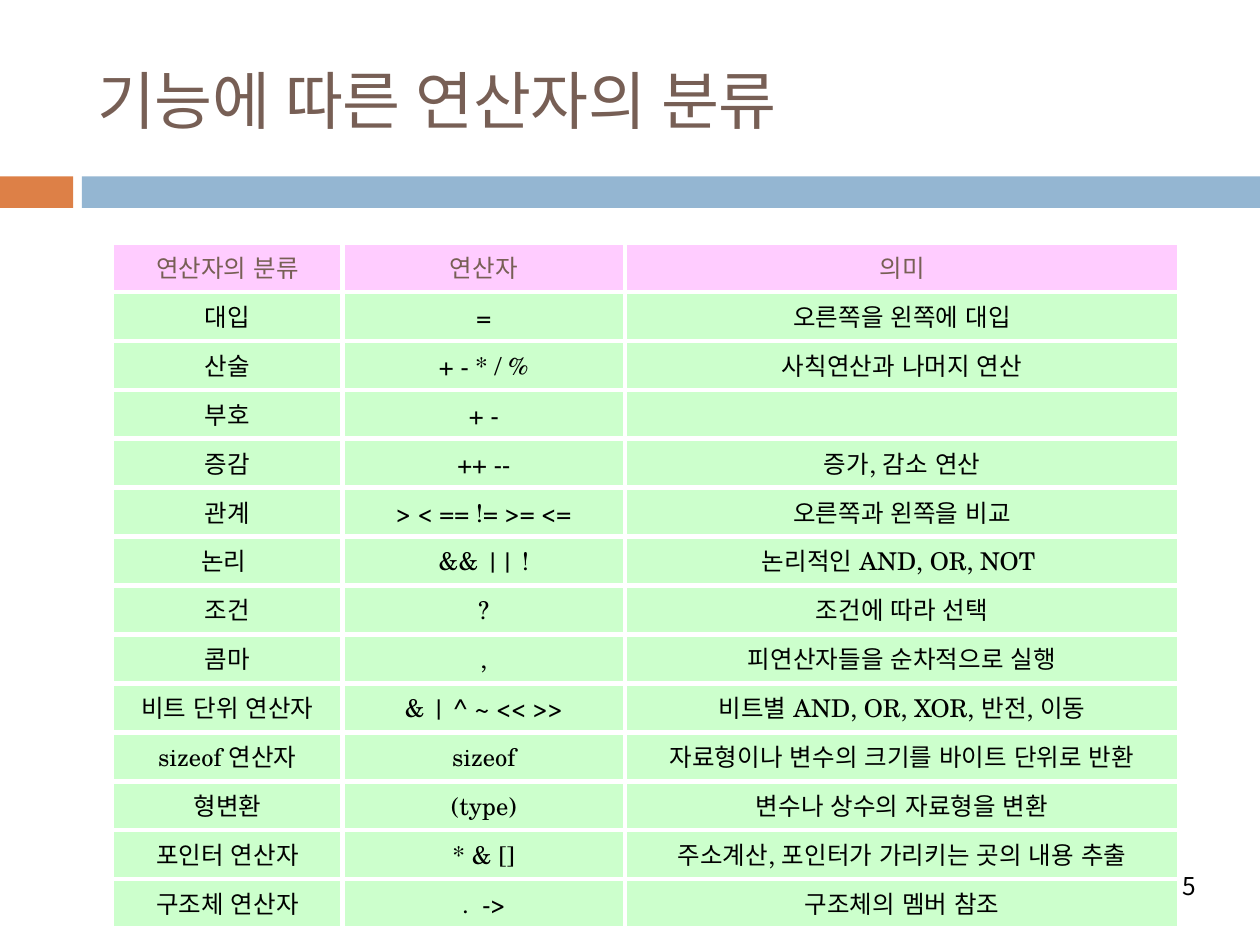
from lxml import etree
from pptx import Presentation
from pptx.dml.color import RGBColor
from pptx.enum.shapes import MSO_SHAPE
from pptx.enum.text import MSO_ANCHOR, PP_ALIGN
from pptx.oxml.ns import qn
from pptx.util import Inches, Pt

ORANGE = RGBColor(0xDD, 0x80, 0x47)
BLUE = RGBColor(0x94, 0xB6, 0xD2)
BROWN = RGBColor(0x77, 0x5F, 0x55)
PINK = RGBColor(0xFF, 0xCC, 0xFF)
GREEN = RGBColor(0xCC, 0xFF, 0xCC)
BLACK = RGBColor(0, 0, 0)
WHITE = RGBColor(0xFF, 0xFF, 0xFF)
SANS = "Noto Sans CJK KR"
SERIF = "TeX Gyre Schola"

COL_WIDTHS = (1.83, 2.24, 4.4)
ROWS = [
    ("연산자의 분류", "연산자", "의미"),
    ("대입", "=", "오른쪽을 왼쪽에 대입"),
    ("산술", "+ - * / %", "사칙연산과 나머지 연산"),
    ("부호", "+ -", ""),
    ("증감", "++ --", "증가, 감소 연산"),
    ("관계", "> < == != >= <=", "오른쪽과 왼쪽을 비교"),
    ("논리 ", "&& || !", "논리적인 AND, OR, NOT "),
    ("조건", "?", "조건에 따라 선택"),
    ("콤마", ",", "피연산자들을 순차적으로 실행"),
    ("비트 단위 연산자", "& | ^ ~ << >>", "비트별 AND, OR, XOR, 반전, 이동"),
    ("sizeof 연산자", "sizeof", "자료형이나 변수의 크기를 바이트 단위로 반환"),
    ("형변환", "(type)", "변수나 상수의 자료형을 변환"),
    ("포인터 연산자", "* & []", "주소계산, 포인터가 가리키는 곳의 내용 추출"),
    ("구조체 연산자", ".  ->", "구조체의 멤버 참조"),
]


def write(tf, text, size, font, color, align):
    """Set one paragraph of formatted text and return it."""
    tf.text = text
    p = tf.paragraphs[0]
    p.alignment = align
    for f in [p.font] + [r.font for r in p.runs]:
        f.size = Pt(size)
        f.name = font
        f.color.rgb = color
    for r in p.runs:
        ea = etree.SubElement(r.font._element, qn("a:ea"))
        ea.set("typeface", font)
    return p


def add_title(slide, text, left, top, width, height):
    """Place and format the title placeholder."""
    s = slide.shapes.title
    s.left, s.top, s.width, s.height = map(Inches, (left, top, width, height))
    tf = s.text_frame
    tf.vertical_anchor = MSO_ANCHOR.MIDDLE
    write(tf, text, 36, SANS, BROWN, PP_ALIGN.LEFT)


def add_band(slide, left, top, width, height, accent=0.58, gap=0.07):
    """Draw the short accent bar and the long bar beside it."""
    rest = accent + gap
    for x, w, color in ((left, accent, ORANGE), (left + rest, width - rest, BLUE)):
        sp = slide.shapes.add_shape(
            MSO_SHAPE.RECTANGLE, Inches(x), Inches(top), Inches(w), Inches(height))
        sp.shadow.inherit = False
        sp.fill.solid()
        sp.fill.fore_color.rgb = color
        sp.line.fill.background()


def add_borders(cell, color, width):
    """Put the same solid border on all four sides of a cell."""
    tcPr = cell._tc.get_or_add_tcPr()
    for i, side in enumerate(("lnL", "lnR", "lnT", "lnB")):
        ln = etree.Element(qn(f"a:{side}"), w=str(Pt(width)))
        fill = etree.SubElement(ln, qn("a:solidFill"))
        etree.SubElement(fill, qn("a:srgbClr"), val=str(color))
        tcPr.insert(i, ln)


def add_operator_table(slide, left, top, width, height):
    """Build the table of operators with equal row heights."""
    frame = slide.shapes.add_table(
        len(ROWS), len(COL_WIDTHS), Inches(left), Inches(top), Inches(width), Inches(height))
    table = frame.table
    table.horz_banding = False
    for col, w in zip(table.columns, COL_WIDTHS):
        col.width = Inches(w)
    for i, row in enumerate(ROWS):
        fill, color = (GREEN, BLACK) if i else (PINK, BROWN)
        for j, text in enumerate(row):
            cell = table.cell(i, j)
            cell.vertical_anchor = MSO_ANCHOR.MIDDLE
            cell.fill.solid()
            cell.fill.fore_color.rgb = fill
            add_borders(cell, WHITE, 3)
            p = write(cell.text_frame, text, 14, SERIF, color, PP_ALIGN.CENTER)
            pPr = p._p.get_or_add_pPr()
            pPr.set("marL", str(Inches(0.38)))
            pPr.set("indent", str(Inches(-0.38)))
            for r in p.runs:
                r.font.bold = False


def add_page_number(slide, number, left, top, width, height):
    """Write the page number at the right of its box."""
    s = slide.shapes.add_textbox(Inches(left), Inches(top), Inches(width), Inches(height))
    tf = s.text_frame
    tf.word_wrap = True
    tf.vertical_anchor = MSO_ANCHOR.MIDDLE
    write(tf, str(number), 14, SANS, BLACK, PP_ALIGN.RIGHT)


def main():
    """Build and save the slide."""
    prs = Presentation()
    prs.slide_width, prs.slide_height = Inches(10), Inches(7.5)
    slide = prs.slides.add_slide(prs.slide_layouts[5])
    add_band(slide, 0, 1.4, 10, 0.25)
    add_title(slide, "기능에 따른 연산자의 분류", 0.67, 0.25, 8.92, 1.08)
    add_operator_table(slide, 0.89, 1.93, 8.47, 5.44)
    add_page_number(slide, 5, 6.81, 6.83, 2.78, 0.4)
    prs.save("out.pptx")


if __name__ == "__main__":
    main()
